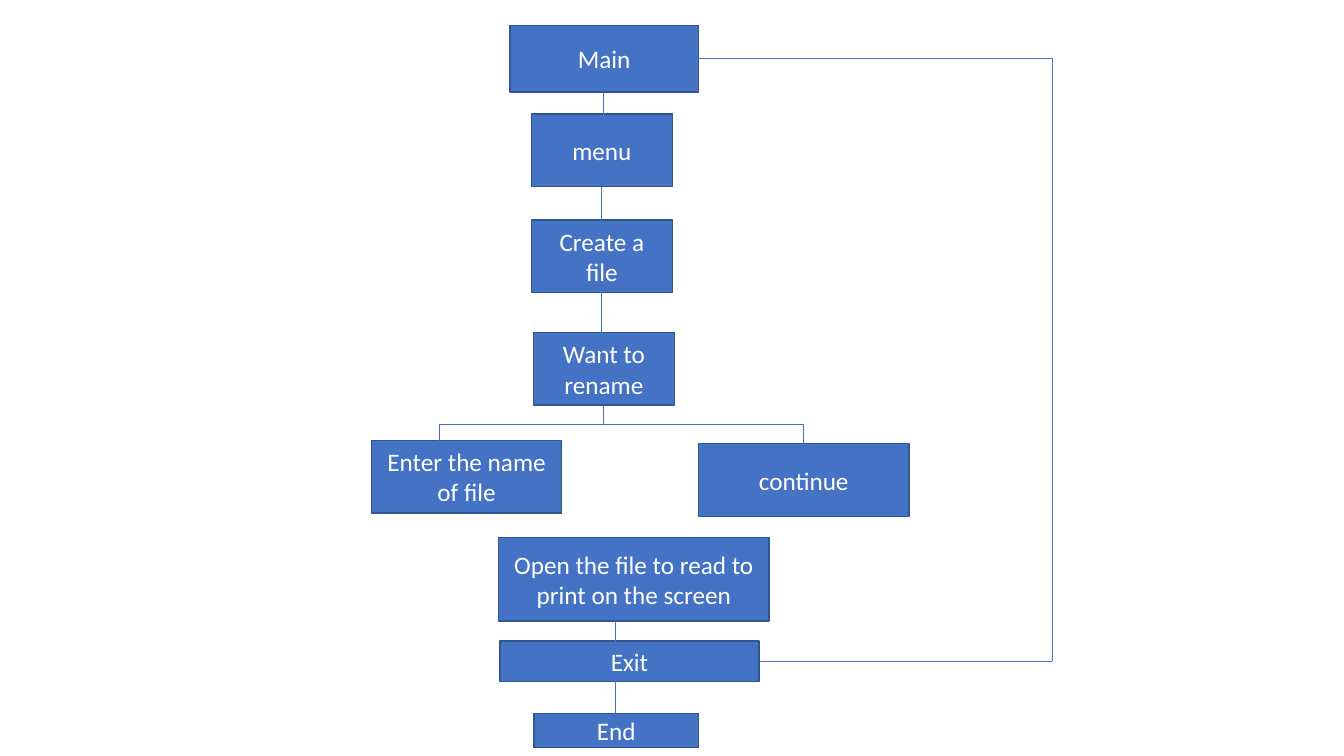
from itertools import pairwise

from lxml.etree import SubElement
from pptx import Presentation
from pptx.dml.color import RGBColor
from pptx.enum.shapes import MSO_CONNECTOR as CONN, MSO_SHAPE as SHAPE
from pptx.enum.text import MSO_ANCHOR as ANCHOR, PP_ALIGN as ALIGN
from pptx.oxml.ns import qn
from pptx.util import Cm, Pt

COLORS = {"fill": "4472C4", "edge": "325491", "text": "FFFFFF"}
BOX_H = 1.83


def rgb(name):
    return RGBColor.from_string(COLORS[name])


def write(tf, text, size=18, color="text", font="Calibri", align=ALIGN.CENTER):
    tf.word_wrap = True
    tf.vertical_anchor = ANCHOR.MIDDLE
    p = tf.paragraphs[0]
    p.alignment = align
    r = p.add_run()
    r.text = text
    r.font.size, r.font.name = Pt(size), font
    r.font.color.rgb = rgb(color)


def node(s, text, x, y, w, h=BOX_H):
    sp = s.shapes.add_shape(SHAPE.RECTANGLE, Cm(x), Cm(y), Cm(w), Cm(h))
    sp.shadow.inherit = False
    sp.fill.solid()
    sp.fill.fore_color.rgb = rgb("fill")
    sp.line.color.rgb = rgb("edge")
    sp.line.width = Pt(1)
    write(sp.text_frame, text)


def wire(s, *points):
    """Join the points with straight connectors."""
    for (x1, y1), (x2, y2) in pairwise(points):
        c = s.shapes.add_connector(CONN.STRAIGHT, Cm(x1), Cm(y1), Cm(x2), Cm(y2))
        c.line.color.rgb = rgb("fill")
        c.line.width = Pt(0.5)
        SubElement(c._element.spPr, qn("a:effectLst"))


def steps(s, x, y, w, h):
    """Column from Main down to the rename question."""
    node(s, "Main", x, y, w, 1.68)
    node(s, "menu", x + 0.54, y + 2.23, 3.56)
    node(s, "Create a file", x + 0.54, y + 4.9, 3.56)
    node(s, "Want to rename", x + 0.59, y + h - BOX_H, 3.56)
    for dx, top, bottom in ((2.36, 1.68, 2.64), (2.31, 4.08, 4.9), (2.31, 6.73, 8.66)):
        wire(s, (x + dx, y + top), (x + dx, y + bottom))


def fork(s, x, y, w, h):
    """Two answers to the rename question, under a shared bar."""
    node(s, "Enter the name of file", x, y + 0.89, 4.78)
    node(s, "continue", x + w - 5.31, y + h - BOX_H, 5.31)
    stem, bar, drop = x + 5.84, y + 0.48, y + 0.97
    wire(s, (stem, y), (stem, bar))
    for end in (x + 1.7, x + 10.87):
        wire(s, (stem, bar), (end, bar), (end, drop))


def finish(s, x, y, w, h):
    """Print, exit and end boxes."""
    node(s, "Open the file to read to print on the screen", x, y, w, 2.11)
    node(s, "Exit", x + 0.03, y + 2.61, 6.53, 1.02)
    node(s, "End", x + 0.89, y + h - 0.86, 4.14, 0.86)
    for top in (2.11, 3.43):
        wire(s, (x + 2.95, y + top), (x + 2.95, y + top + 1.01))


def loop(s, x, y, w, h):
    """Return line between Main and Exit."""
    wire(s, (x, y), (x + w, y), (x + w, y + h), (x + 1.55, y + h))


def main():
    prs = Presentation()
    prs.slide_width, prs.slide_height = Cm(33.87), Cm(19.05)
    s = prs.slides.add_slide(prs.slide_layouts[6])
    steps(s, 12.85, 0.64, 4.75, 9.57)
    fork(s, 9.37, 10.21, 13.54, 2.8)
    finish(s, 12.57, 13.54, 6.81, 5.3)
    loop(s, 17.6, 1.47, 8.92, 15.19)
    prs.save("out.pptx")


if __name__ == "__main__":
    main()
